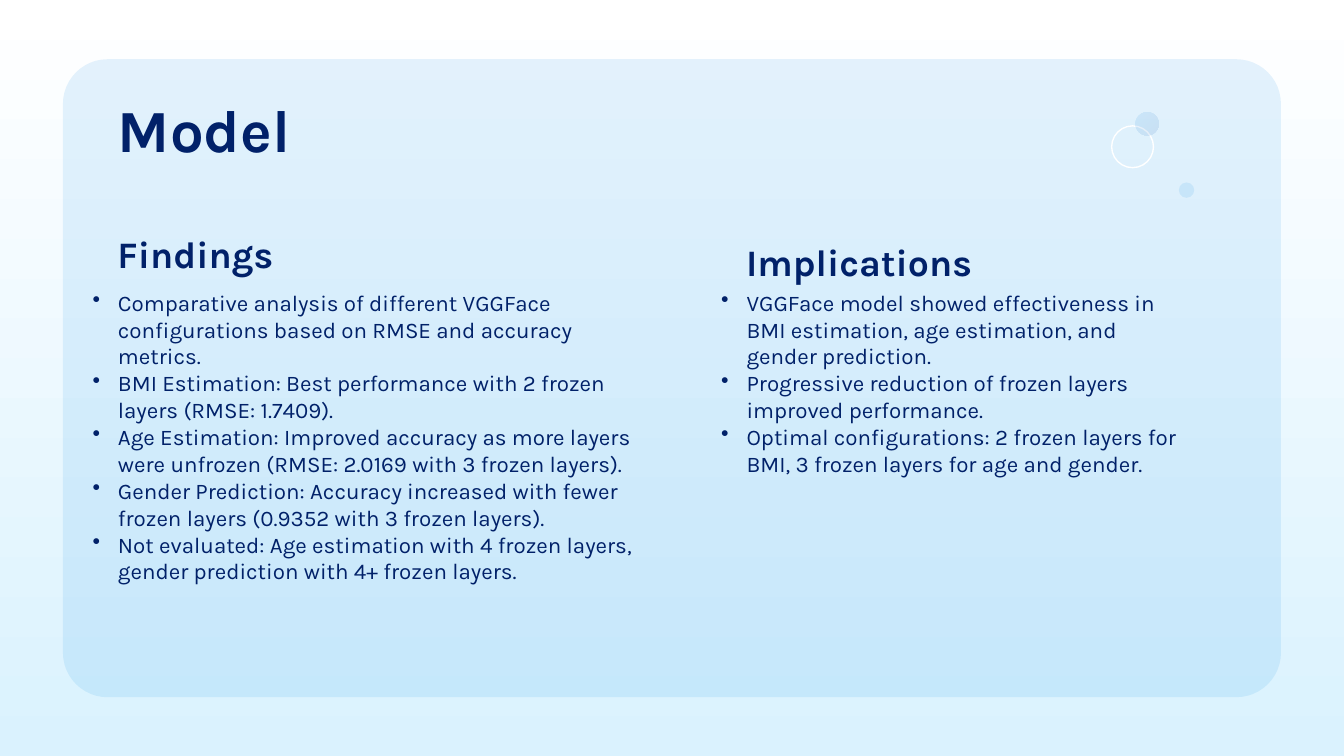
from lxml import etree
from pptx import Presentation
from pptx.dml.color import RGBColor
from pptx.enum import shapes, text
from pptx.oxml import ns
from pptx.util import Cm, Pt

# Content: heading, its top, left and width of the bullets, bullet texts
TITLE = "Model"
COLUMNS = [
    ("Findings", 4.09, 1.5, 11.2, [
        "Comparative analysis of different VGGFace configurations based on RMSE and accuracy metrics.",
        "BMI Estimation: Best performance with 2 frozen layers (RMSE: 1.7409).",
        "Age Estimation: Improved accuracy as more layers were unfrozen (RMSE: 2.0169 with 3 frozen layers).",
        "Gender Prediction: Accuracy increased with fewer frozen layers (0.9352 with 3 frozen layers).",
        "Not evaluated: Age estimation with 4 frozen layers, gender prediction with 4+ frozen layers.",
    ]),
    ("Implications", 4.24, 13.38, 9.35, [
        "VGGFace model showed effectiveness in BMI estimation, age estimation, and gender prediction.",
        "Progressive reduction of frozen layers improved performance.",
        "Optimal configurations: 2 frozen layers for BMI, 3 frozen layers for age and gender.",
    ]),
]
# Left, top, diameter, fill colours, line colour
BUBBLES = [
    (21.01, 2.38, 0.79, (), "white"),
    (21.46, 2.12, 0.44, ("blue", "deep"), None),
    (22.28, 3.45, 0.29, ("blue",), None),
]
THEME = dict(
    font="Karla", ink="012169", white="FFFFFF", sky="DAF2FE", blue="0388E5", deep="0048A7",
    title=32, heading=20, body=12, alpha=10,
)
INDENT = 0.48
HEADING_SHIFT = 0.47

deck = Presentation()
deck.slide_width, deck.slide_height = Cm(25.4), Cm(14.29)
slide = deck.slides.add_slide(deck.slide_layouts[6])


def color(name):
    return RGBColor.from_string(THEME[name])


def add_gradient(fill, names, angle):
    fill.gradient()
    fill.gradient_angle = angle
    for stop, name in zip(fill.gradient_stops, names):
        stop.color.rgb = color(name)


def add_figure(kind, left, top, width, height, fills, line=None):
    figure = slide.shapes.add_shape(kind, Cm(left), Cm(top), Cm(width), Cm(height))
    figure.shadow.inherit = False
    if len(fills) > 1:
        add_gradient(figure.fill, fills, 315)
    elif fills:
        figure.fill.solid()
        figure.fill.fore_color.rgb = color(fills[0])
    else:
        figure.fill.background()
    for tint in figure.fill._xPr.findall(".//" + ns.qn("a:srgbClr")):
        etree.SubElement(tint, ns.qn("a:alpha"), val=str(THEME["alpha"] * 1000))
    if line:
        figure.line.color.rgb = color(line)
        figure.line.width = Pt(0.75)
    else:
        figure.line.fill.background()
    return figure


def add_bullet(paragraph):
    props = paragraph._p.get_or_add_pPr()
    props.set("marL", str(Cm(INDENT)))
    props.set("indent", str(-Cm(INDENT)))
    bullet_color = etree.SubElement(props, ns.qn("a:buClr"))
    etree.SubElement(bullet_color, ns.qn("a:srgbClr"), val=THEME["ink"])
    etree.SubElement(props, ns.qn("a:buChar"), char="•")


def add_text(lines, left, top, width, height, size="body", bold=False,
             anchor=text.MSO_ANCHOR.TOP, bullets=False):
    frame = slide.shapes.add_textbox(Cm(left), Cm(top), Cm(width), Cm(height)).text_frame
    frame.word_wrap = True
    frame.vertical_anchor = anchor
    frame.margin_left = frame.margin_right = frame.margin_top = frame.margin_bottom = Cm(0.25)
    frame.text = "\n".join(lines)
    for paragraph in frame.paragraphs:
        if bullets:
            add_bullet(paragraph)
        font = paragraph.runs[0].font
        font.name, font.size, font.bold = THEME["font"], Pt(THEME[size]), bold
        font.color.rgb = color("ink")


# Background and panel
add_gradient(slide.background.fill, ("white", "sky"), 270)
panel = add_figure(shapes.MSO_SHAPE.ROUNDED_RECTANGLE, 1.19, 1.12, 23.02, 12.06, ["blue"])
panel.adjustments[0] = 0.07

# Title
add_text([TITLE], 1.98, 1.5, 21.44, 1.85, size="title", bold=True)

# Columns
for heading, heading_top, left, width, points in COLUMNS:
    add_text([heading], left + HEADING_SHIFT, heading_top, 9.35, 1.37, size="heading",
             bold=True, anchor=text.MSO_ANCHOR.BOTTOM)
    add_text(points, left, 5.21, width, 1.98, bullets=True)

# Bubbles
for left, top, diameter, fills, line in BUBBLES:
    add_figure(shapes.MSO_SHAPE.OVAL, left, top, diameter, diameter, fills, line)

deck.save("out.pptx")
